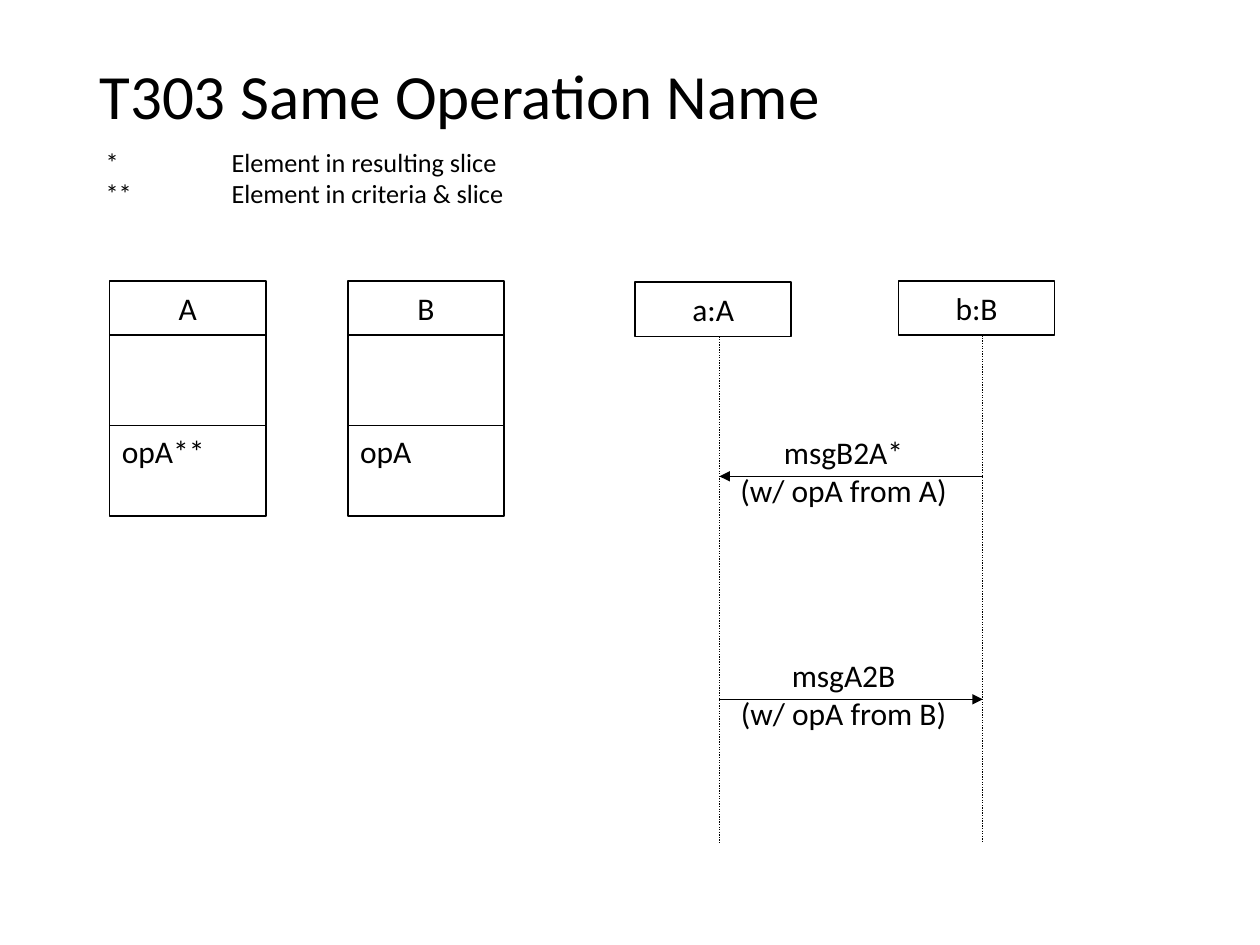
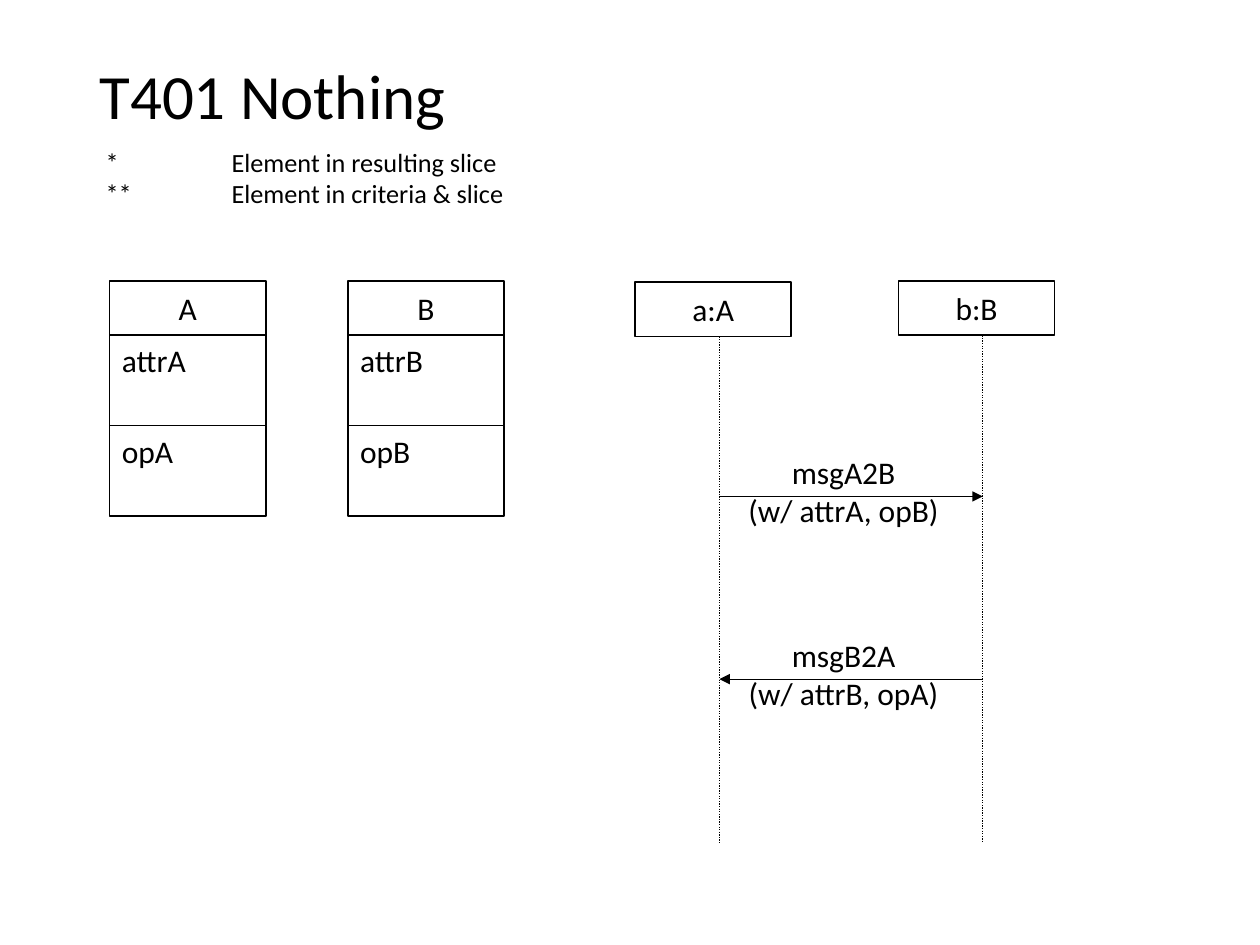
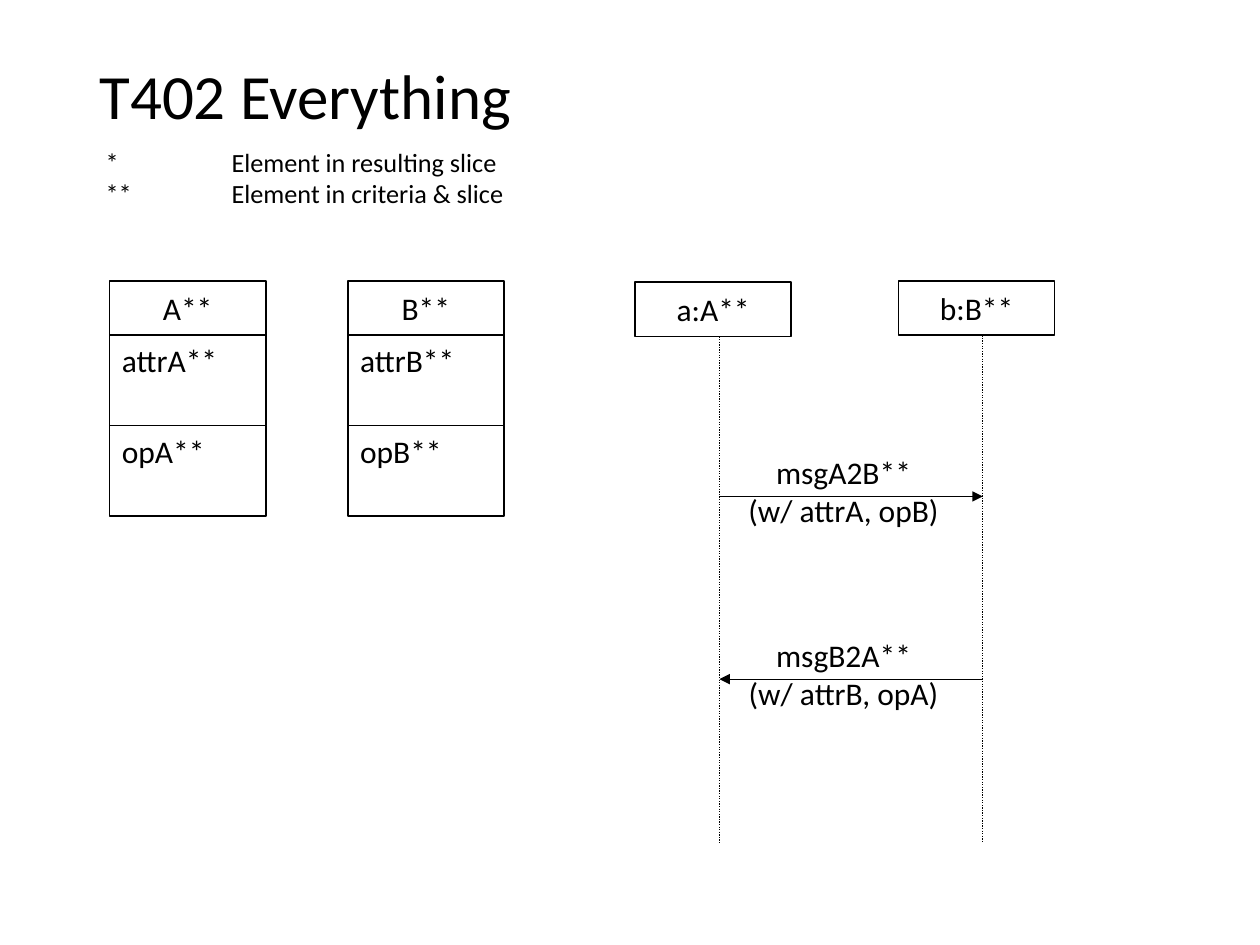
from lxml import etree
from pptx import Presentation
from pptx.dml.color import RGBColor
from pptx.enum.dml import MSO_LINE
from pptx.enum.shapes import MSO_CONNECTOR, MSO_SHAPE
from pptx.enum.text import MSO_ANCHOR, MSO_AUTO_SIZE, PP_ALIGN
from pptx.oxml.ns import qn
from pptx.util import Pt

LEFT, CENTER = PP_ALIGN.LEFT, PP_ALIGN.CENTER
TOP, MIDDLE = MSO_ANCHOR.TOP, MSO_ANCHOR.MIDDLE
RECTANGLE, STRAIGHT = MSO_SHAPE.RECTANGLE, MSO_CONNECTOR.STRAIGHT
DOTTED, NO_AUTOFIT = MSO_LINE.ROUND_DOT, MSO_AUTO_SIZE.NONE
COLORS = {"ink": "000000", "paper": "FFFFFF"}
FONT = "Calibri"

# Content: classes are (name, attribute, operation);
# messages are (y, direction, name, note)
LEGEND = ["*\tElement in resulting slice", "**\tElement in criteria & slice"]
SLIDES = [
    {"title": "T303 Same Operation Name",
     "classes": [("A", "", "opA**"), ("B", "", "opA")],
     "objects": ["a:A", "b:B"],
     "messages": [(272.2, "left", "msgB2A*", "(w/ opA from A)"),
                  (399.6, "right", "msgA2B", "(w/ opA from B)")]},
    {"title": "T401 Nothing",
     "classes": [("A", "attrA", "opA"), ("B", "attrB", "opB")],
     "objects": ["a:A", "b:B"],
     "messages": [(283.7, "right", "msgA2B", "(w/ attrA, opB)"),
                  (388.1, "left", "msgB2A", "(w/ attrB, opA)")]},
    {"title": "T402 Everything",
     "classes": [("A**", "attrA**", "opA**"), ("B**", "attrB**", "opB**")],
     "objects": ["a:A**", "b:B**"],
     "messages": [(283.7, "right", "msgA2B**", "(w/ attrA, opB)"),
                  (388.1, "left", "msgB2A**", "(w/ attrB, opA)")]},
]

# Layout, in points
TITLE_AREA = (49.7, 28.8, 621.4, 56.2)
LEGEND_AREA = (53.3, 79.9, 298.1, 44.6)
LEGEND_TAB = 72
BOX_WIDTH, HEADER_HEIGHT, SECTION_HEIGHT = 89.3, 31, 51.6
CLASS_TOP, CLASS_LEFTS = 160.6, (62.6, 198.7)
OBJECT_CORNERS = ((362.9, 161.3), (513.4, 160.6))
LIFELINES, LIFELINE_END = (411.1, 561.6), 481.7
LABEL_LEFT, LABEL_WIDTH, LABEL_HEIGHT, LABEL_RISE = 439.2, 85.7, 50.4, 28.1


def color(name):
    return RGBColor.from_string(COLORS[name])


def write(box, lines, size=18, align=LEFT, anchor=TOP, wrap=True, spacing=None, tab=None):
    """Fill a shape's text frame, one paragraph a line."""
    frame = box.text_frame
    frame.word_wrap, frame.auto_size = wrap, NO_AUTOFIT
    frame.vertical_anchor = anchor
    for index, line in enumerate(lines):
        para = frame.add_paragraph() if index else frame.paragraphs[0]
        para.alignment, para.line_spacing = align, spacing
        if tab:
            stops = etree.SubElement(para._p.get_or_add_pPr(), qn("a:tabLst"))
            etree.SubElement(stops, qn("a:tab"), pos=str(Pt(tab)), algn="l")
        span = para.add_run()
        span.text = line
        span.font.name, span.font.size = FONT, Pt(size)
        span.font.color.rgb = color("ink")


def add_box(page, left, top, height, text, **style):
    box = page.shapes.add_shape(RECTANGLE, Pt(left), Pt(top), Pt(BOX_WIDTH), Pt(height))
    box.shadow.inherit = False
    box.fill.solid()
    box.fill.fore_color.rgb = color("paper")
    box.line.color.rgb = color("ink")
    box.line.width = Pt(0.94)
    if text:
        write(box, [text], **style)


def add_line(page, start, end, dash=None, arrow=None):
    """Draw a line; arrow names the line end that carries the arrowhead."""
    line = page.shapes.add_connector(STRAIGHT, *map(Pt, start + end))
    line.line.color.rgb = color("ink")
    line.line.width = Pt(0.75)
    if dash:
        line.line.dash_style = dash
    if arrow:
        etree.SubElement(line.line._get_or_add_ln(), qn(arrow), type="triangle")
    etree.SubElement(line._element.spPr, qn("a:effectLst"))


def add_heading(page, title):
    heading = page.shapes.title
    heading.left, heading.top, heading.width, heading.height = map(Pt, TITLE_AREA)
    write(heading, [title], size=36, anchor=MIDDLE, spacing=0.9)
    legend = page.shapes.add_textbox(*map(Pt, LEGEND_AREA))
    write(legend, LEGEND, size=15, tab=LEGEND_TAB)


def add_class(page, left, name, attribute, operation):
    sections_top = CLASS_TOP + HEADER_HEIGHT
    add_box(page, left, CLASS_TOP, HEADER_HEIGHT, name, align=CENTER, anchor=MIDDLE)
    for row, member in enumerate((attribute, operation)):
        add_box(page, left, sections_top + row * SECTION_HEIGHT, SECTION_HEIGHT,
                member, wrap=False)


def add_object(page, corner, lifeline, name):
    left, top = corner
    add_box(page, left, top, HEADER_HEIGHT, name, align=CENTER, anchor=MIDDLE)
    add_line(page, (lifeline, top + HEADER_HEIGHT), (lifeline, LIFELINE_END), dash=DOTTED)


def add_message(page, y, direction, name, note):
    first, second = LIFELINES
    arrow = "a:tailEnd" if direction == "right" else "a:headEnd"
    add_line(page, (first, y), (second, y), arrow=arrow)
    label = page.shapes.add_textbox(Pt(LABEL_LEFT), Pt(y - LABEL_RISE),
                                    Pt(LABEL_WIDTH), Pt(LABEL_HEIGHT))
    write(label, [name, note], align=CENTER, wrap=False)


def main():
    deck = Presentation()
    deck.slide_width, deck.slide_height = Pt(720), Pt(540)
    title_only = deck.slide_layouts[5]
    for content in SLIDES:
        page = deck.slides.add_slide(title_only)
        add_heading(page, content["title"])
        for corner, lifeline, name in zip(OBJECT_CORNERS, LIFELINES, content["objects"]):
            add_object(page, corner, lifeline, name)
        for left, parts in zip(CLASS_LEFTS, content["classes"]):
            add_class(page, left, *parts)
        for message in content["messages"]:
            add_message(page, *message)
    deck.save("out.pptx")


if __name__ == "__main__":
    main()
